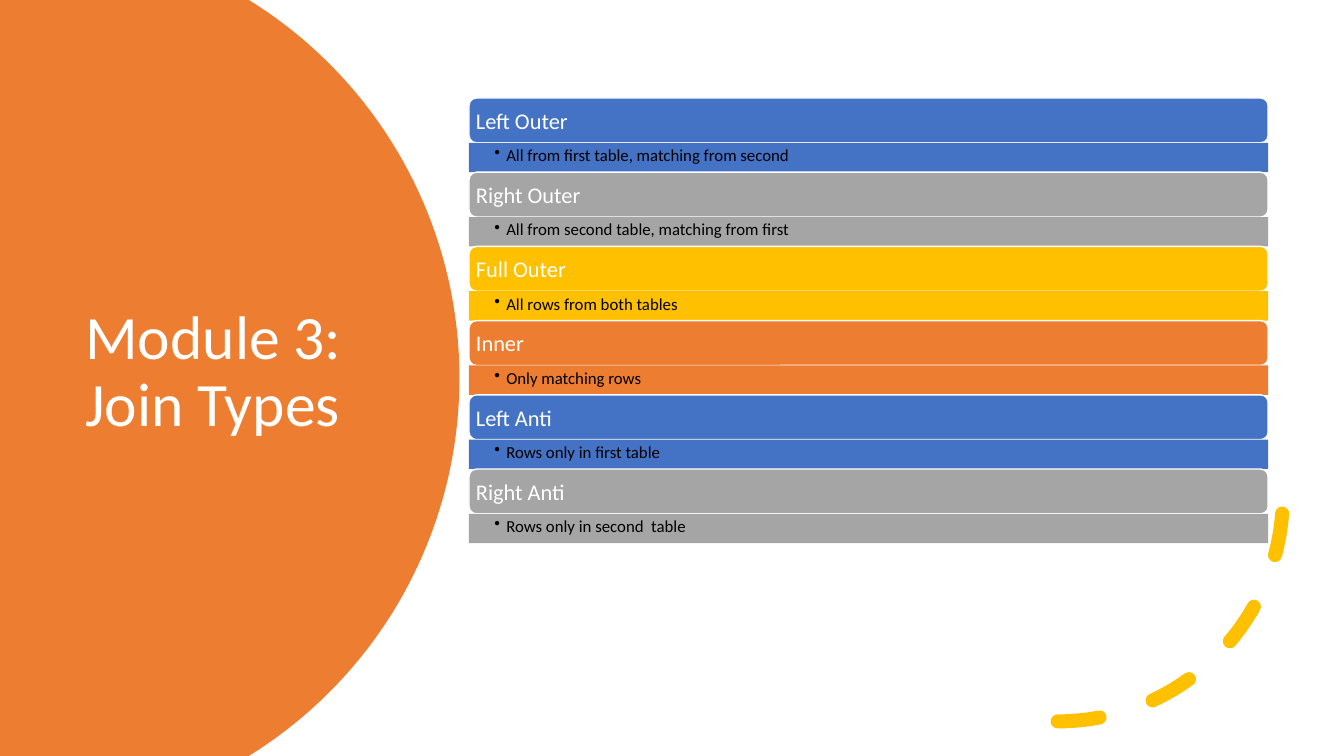
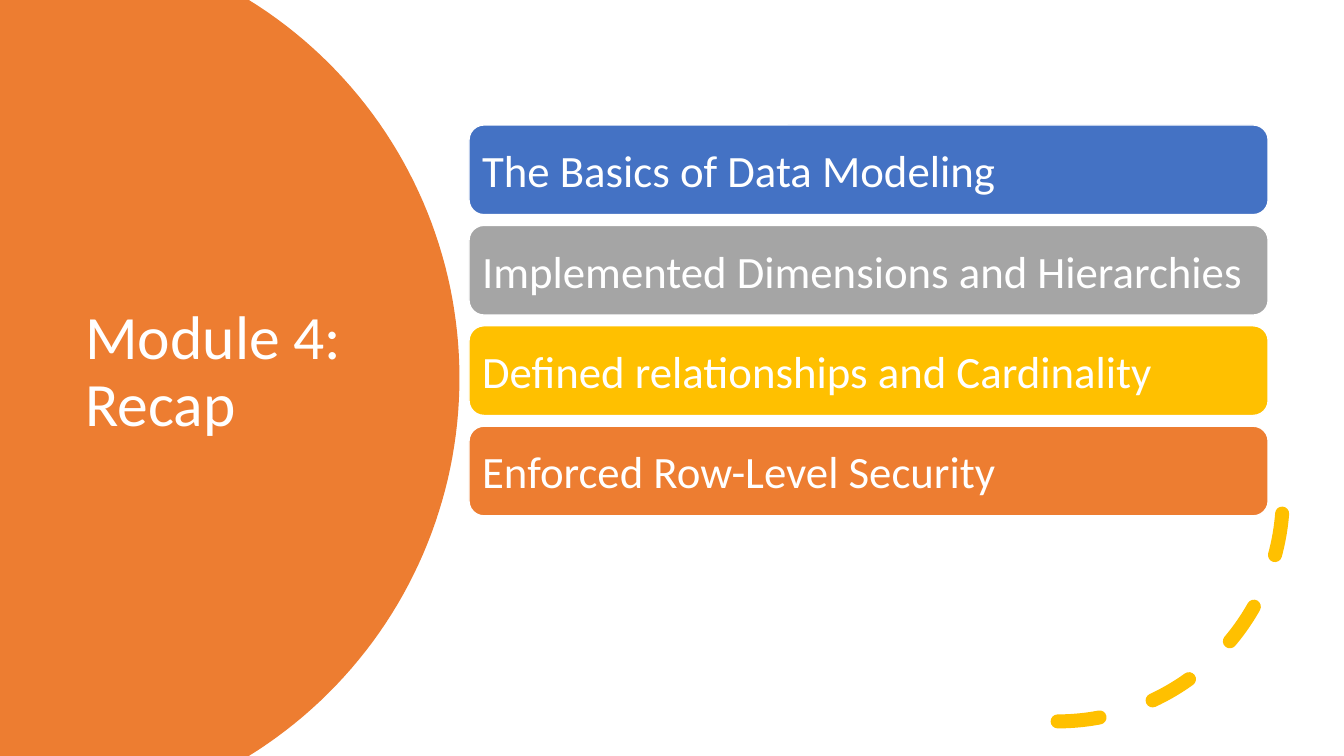
"""Build two course slides: join types and a module recap."""
from itertools import cycle
from math import asin, cos, sin

from pptx import Presentation
from pptx.dml.color import RGBColor
from pptx.enum.dml import MSO_LINE
from pptx.enum.shapes import MSO_SHAPE
from pptx.enum.text import MSO_ANCHOR, PP_ALIGN
from pptx.oxml.ns import qn
from pptx.util import Cm, Pt

C = {"blue": "4472C4", "gray": "A5A5A5", "gold": "FFC000",
     "orange": "ED7D31", "white": "FFFFFF", "black": "000000"}
FONT = "Calibri"
W, H = 33.87, 19.05
BAR_X, BAR_W = 11.82, 20.14
SUB_H = 0.74
CX, RADIUS, STEPS = 0.38, 11.2, 80

SLIDES = [
    {"title": "Module 3: Join Types", "top": 2.47, "height": 1.13, "pitch": 1.87,
     "size": 16, "inset": 0.12,
     "bars": [("Left Outer", "All from first table, matching from second"),
              ("Right Outer", "All from second table, matching from first"),
              ("Full Outer", "All rows from both tables"),
              ("Inner", "Only matching rows"),
              ("Left Anti", "Rows only in first table"),
              ("Right Anti", "Rows only in second  table")]},
    {"title": "Module 4: Recap", "top": 3.15, "height": 2.26, "pitch": 2.53,
     "size": 32, "inset": 0.22,
     "bars": [("The Basics of Data Modeling", None),
              ("Implemented Dimensions and Hierarchies", None),
              ("Defined relationships and Cardinality", None),
              ("Enforced Row-Level Security", None)]},
]


def paint(sp, fill=None, line=None, width=1):
    sp.shadow.inherit = False
    for fmt, color in ((sp.fill, fill), (sp.line.fill, line)):
        if color:
            fmt.solid()
            fmt.fore_color.rgb = RGBColor.from_string(C[color])
        else:
            fmt.background()
    if line:
        sp.line.width = Pt(width)


def text(sp, words, size, color="white", inset=(0.25, 0.13, 0.25, 0.13),
         anchor=MSO_ANCHOR.MIDDLE, spacing=None, bullet=False):
    tf = sp.text_frame
    tf.word_wrap = True
    tf.vertical_anchor = anchor
    tf.margin_left, tf.margin_top, tf.margin_right, tf.margin_bottom = map(Cm, inset)
    p = tf.paragraphs[0]
    p.alignment = PP_ALIGN.LEFT
    if spacing:
        p.line_spacing = spacing
    if bullet:
        pPr = p._p.get_or_add_pPr()
        pPr.set("marL", str(Cm(0.3)))
        pPr.set("indent", str(-Cm(0.3)))
        bu = pPr.makeelement(qn("a:buChar"), {"char": "•"})
        pPr.append(bu)
    r = p.add_run()
    r.text = words
    r.font.name = FONT
    r.font.size = Pt(size)
    r.font.color.rgb = RGBColor.from_string(C[color])


prs = Presentation()
prs.slide_width, prs.slide_height = Cm(W), Cm(H)

half = asin(H / 2 / RADIUS)
angles = [half * (2 * i / STEPS - 1) for i in range(STEPS + 1)]
curve = [(Cm(CX + RADIUS * cos(a)), Cm(H / 2 + RADIUS * sin(a))) for a in angles]

for spec_ in SLIDES:
    s = prs.slides.add_slide(prs.slide_layouts[6])

    fb = s.shapes.build_freeform(0, 0)
    fb.add_line_segments(curve + [(0, Cm(H))], close=True)
    paint(fb.convert_to_shape(), "orange")

    title = s.shapes.add_textbox(Cm(1.9), Cm(3.2), Cm(8.89), Cm(12.4))
    text(title, spec_["title"], 44, spacing=0.9)

    arc = s.shapes.add_shape(MSO_SHAPE.ARC, Cm(20.98), Cm(6.83), Cm(11.35), Cm(11.35))
    paint(arc, line="gold", width=10)
    arc.line.dash_style = MSO_LINE.DASH
    arc.line._get_or_add_ln().set("cap", "rnd")
    arc._element.spPr.find(qn("a:xfrm")).set("flipV", "1")

    colors = cycle(["blue", "gray", "gold", "orange"])
    for i, ((head, detail), color) in enumerate(zip(spec_["bars"], colors)):
        y, h = spec_["top"] + i * spec_["pitch"], spec_["height"]
        bar = s.shapes.add_shape(MSO_SHAPE.ROUNDED_RECTANGLE, Cm(BAR_X), Cm(y), Cm(BAR_W), Cm(h))
        paint(bar, color, "white")
        text(bar, head, spec_["size"], inset=(spec_["inset"], 0, spec_["inset"], 0))
        if detail:
            sub = s.shapes.add_shape(MSO_SHAPE.RECTANGLE, Cm(BAR_X), Cm(y + h), Cm(BAR_W), Cm(SUB_H))
            paint(sub, color)
            text(sub, detail, 12, "black", (0.64, 0.05, 0.3, 0.05), MSO_ANCHOR.TOP, bullet=True)

prs.save("out.pptx")
